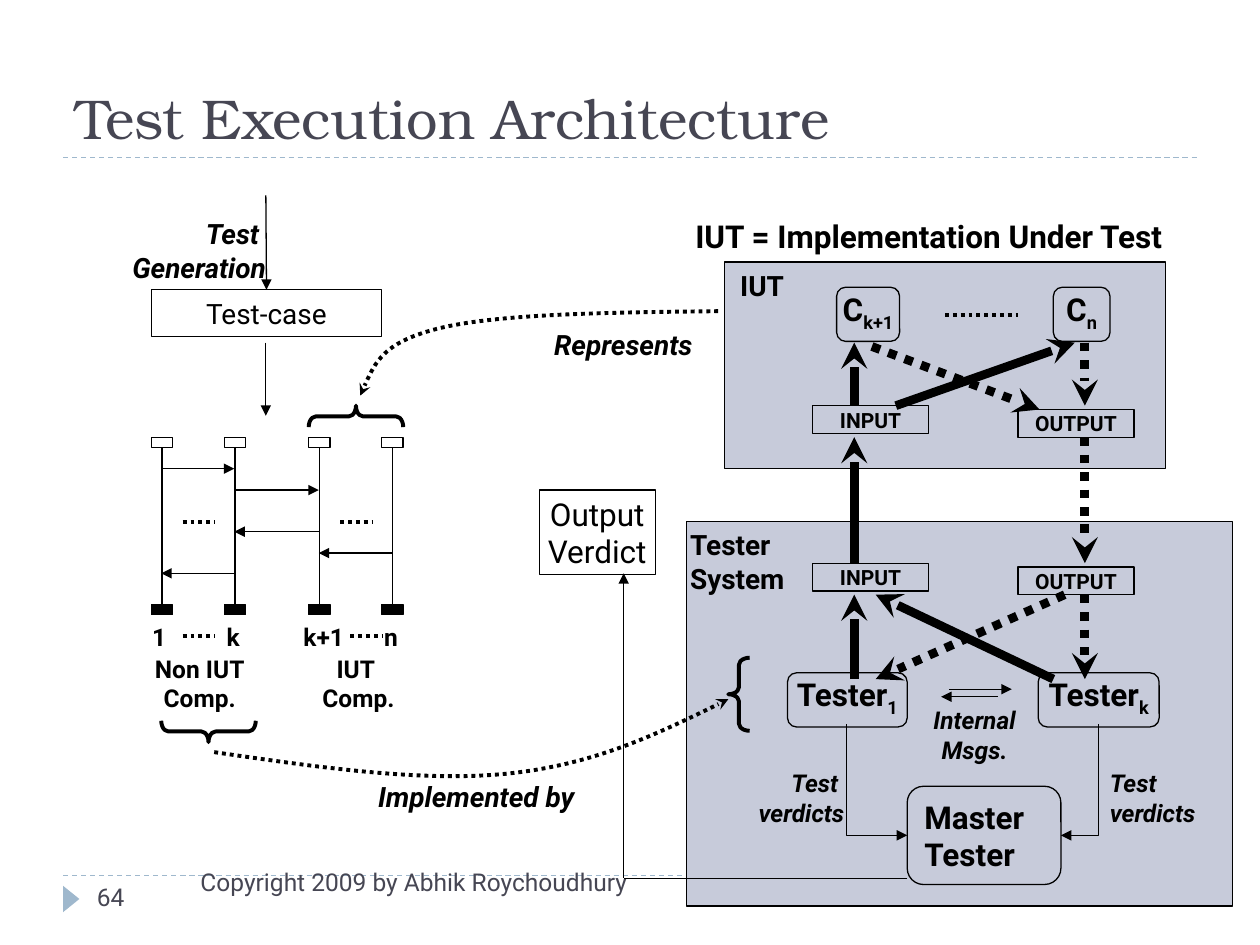
from copy import deepcopy
from dataclasses import dataclass

from pptx import Presentation
from pptx.dml.color import RGBColor
from pptx.enum.dml import MSO_LINE as Dash
from pptx.enum.shapes import MSO_CONNECTOR as Link, MSO_SHAPE as Shape
from pptx.enum.text import MSO_ANCHOR as Anchor, MSO_AUTO_SIZE as Fit, PP_ALIGN as Align
from pptx.oxml.ns import qn
from pptx.oxml.xmlchemy import OxmlElement
from pptx.util import Pt

PX = 9144


@dataclass(frozen=True)
class Theme:
    ink: str = "000000"
    muted: str = "464653"
    panel: str = "C7CBDA"
    accent: str = "9FB8CD"
    body: str = "Roboto"
    heading: str = "TeX Gyre Bonum"
    title: int = 32
    large: int = 18
    medium: int = 16
    small: int = 14
    tiny: int = 12
    thin: float = 0.75
    medium_line: float = 2.25
    thick: float = 5


class Diagram:
    """Draws styled elements on one slide, with lengths in px."""

    def __init__(self, slide, theme):
        self.slide, self.shapes, self.theme = slide, slide.shapes, theme

    def set_text(self, frame, text, size, sub="", color=None, face=None, bold=False, italic=False,
                 align=Align.LEFT, anchor=Anchor.TOP, wrap=False, fit=Fit.NONE,
                 inset=(10, 5, 10, 5)):
        frame.text = text
        sides = ("margin_left", "margin_top", "margin_right", "margin_bottom")
        layout = dict(zip(sides, (n * PX for n in inset)),
                      word_wrap=wrap, auto_size=fit, vertical_anchor=anchor)
        for name, value in layout.items():
            setattr(frame, name, value)
        if sub:
            frame.paragraphs[0].add_run().text = sub
        style = dict(name=face or self.theme.body, size=Pt(size), bold=bold, italic=italic)
        for paragraph in frame.paragraphs:
            paragraph.alignment = align
            for run in paragraph.runs:
                for name, value in style.items():
                    setattr(run.font, name, value)
                run.font.color.rgb = RGBColor.from_string(color or self.theme.ink)
            for gap in paragraph._p.findall(qn("a:br")):
                gap.append(deepcopy(paragraph.runs[0]._r.rPr))
        if sub:
            frame.paragraphs[0].runs[-1].font._element.set("baseline", "-25000")

    def title(self, text, x, y, w, h):
        heading = self.slide.shapes.title
        for name, value in dict(left=x, top=y, width=w, height=h).items():
            setattr(heading, name, value * PX)
        self.set_text(heading.text_frame, text, self.theme.title, color=self.theme.muted,
                      face=self.theme.heading, anchor=Anchor.BOTTOM, wrap=True)

    def label(self, text, x, y, w, h, size, **style):
        box = self.shapes.add_textbox(*(n * PX for n in (x, y, w, h)))
        self.set_text(box.text_frame, text, size, **{"fit": Fit.SHAPE_TO_FIT_TEXT, **style})

    def stroke(self, item, weight, color=None, dash=None, head=None, tail=None):
        item.line.color.rgb = RGBColor.from_string(color or self.theme.ink)
        item.line.width = Pt(weight)
        if dash:
            item.line.dash_style = dash
        for end, kind in (("a:headEnd", head), ("a:tailEnd", tail)):
            if kind:
                arrow = OxmlElement(end)
                arrow.set("type", kind)
                item.line._get_or_add_ln().append(arrow)

    def box(self, x, y, w, h, kind=Shape.RECTANGLE, fill=None, weight=None, outlined=True,
            rotation=0, text="", size=None, **style):
        box = self.shapes.add_shape(kind, *(n * PX for n in (x, y, w, h)))
        box.shadow.inherit = False
        box.rotation = rotation
        if fill:
            box.fill.solid()
            box.fill.fore_color.rgb = RGBColor.from_string(fill)
        else:
            box.fill.background()
        if outlined:
            self.stroke(box, weight or self.theme.thin)
        else:
            box.line.fill.background()
        if text:
            self.set_text(box.text_frame, text, size,
                          **{"align": Align.CENTER, "anchor": Anchor.MIDDLE, **style})
        return box

    def brace(self, x, y, w, h, rotation=0):
        brace = self.box(x, y, w, h, Shape.LEFT_BRACE, weight=self.theme.medium_line,
                         rotation=rotation)
        brace.adjustments[0] = 0.33

    def line(self, x1, y1, x2, y2, weight=None, start=None, end=None, bent=False, **style):
        line = self.shapes.add_connector(Link.ELBOW if bent else Link.STRAIGHT,
                                         *(n * PX for n in (x1, y1, x2, y2)))
        if bent:
            line._element.spPr.find(qn("a:prstGeom")).set("prst", "bentConnector2")
        if start:
            line.begin_connect(*start)
        if end:
            line.end_connect(*end)
        self.stroke(line, weight or self.theme.thin, **style)
        line._element.spPr.append(OxmlElement("a:effectLst"))

    def curve(self, start, *points):
        builder = self.shapes.build_freeform(*start, scale=PX)
        builder.add_line_segments(points, close=False)
        curve = builder.convert_to_shape()
        segments = list(curve._element.iter(qn("a:lnTo")))
        for first in range(0, len(segments), 3):
            bezier = OxmlElement("a:cubicBezTo")
            segments[first].addprevious(bezier)
            for segment in segments[first:first + 3]:
                bezier.append(segment[0])
                segment.getparent().remove(segment)
        curve.fill.background()
        curve.shadow.inherit = False
        self.stroke(curve, self.theme.medium_line, dash=Dash.ROUND_DOT, tail="stealth")


def draw_frame(d, t):
    for y in (695, 125):
        d.line(50, y, 950, y, color=t.accent, dash=Dash.DASH)
    d.box(46, 707, 21, 13, Shape.ISOSCELES_TRIANGLE, fill=t.accent, outlined=False, rotation=90)
    for panel in ((545, 414, 433, 305), (575, 208, 350, 164)):
        d.box(*panel, fill=t.panel)
    d.title("Test Execution Architecture", 50, 17, 900, 108)
    footer = dict(size=t.small, color=t.muted, wrap=True, fit=Fit.NONE)
    d.label("Copyright 2009 by Abhik Roychoudhury", 75, 683, 433, 50, align=Align.RIGHT, **footer)
    d.label("64", 67, 695, 217, 40, **footer)


def draw_test_case(d, t):
    test_case = d.box(120, 230, 183, 37, text="Test-case", size=t.medium)
    d.label("Test \vGeneration", 83, 167, 138, 64, t.medium, bold=True, italic=True,
            align=Align.RIGHT)
    d.line(211, 155, 211, 230, end=(test_case, 0), tail="triangle")
    d.line(211, 272, 211, 330, tail="triangle")
    lifelines = non_iut_1, non_iut_k, iut_first, iut_n = 128, 186, 253, 311
    for x in lifelines:
        top = d.box(x - 8, 347, 17, 8)
        foot = d.box(x - 8, 480, 17, 8, fill=t.ink)
        d.line(x, 355, x, 480, start=(top, 2), end=(foot, 0))
    messages = ((non_iut_1, non_iut_k, 372), (non_iut_k, iut_first, 389),
                (iut_first, non_iut_k, 422), (iut_n, iut_first, 439), (non_iut_k, non_iut_1, 455))
    for sender, receiver, y in messages:
        d.line(sender, y, receiver, y, tail="triangle")
    for x, y in ((145, 414), (270, 414), (145, 505), (278, 505)):
        d.line(x, y, x + 25, y, t.medium_line, dash=Dash.ROUND_DOT)
    centred = dict(size=t.small, bold=True, align=Align.CENTER)
    for name, x, w in (("1", 111, 29), ("k", 170, 29), ("k+1", 228, 58), ("n", 295, 29)):
        d.label(name, x, 489, w, 34, wrap=True, **centred)
    d.label("Non IUT\vComp.", 109, 514, 99, 57, **centred)
    d.label("IUT \vComp.", 244, 514, 81, 57, **centred)
    d.brace(157, 543, 17, 75, rotation=270)
    d.brace(274, 293, 17, 75, rotation=90)


def draw_systems(d, t):
    strong = dict(bold=True)
    d.label("IUT = Implementation Under Test", 542, 167, 458, 40, t.large, wrap=True, **strong)
    d.label("IUT", 574, 208, 58, 37, t.medium, align=Align.RIGHT, **strong)
    d.label("Tester\nSystem", 538, 414, 100, 64, t.medium, **strong)
    for y in (322, 447):
        d.box(645, y, 92, 22, text="INPUT", size=t.tiny, **strong)
        d.box(808, y + 3, 92, 22, text="OUTPUT", size=t.tiny, **strong)
    components = (("C", "k+1", 664, 228, 50), ("C", "n", 836, 228, 45),
                  ("Tester", "1", 625, 534, 95), ("Tester", "k", 824, 534, 96))
    for name, index, x, y, w in components:
        d.box(x, y, w, 43, Shape.ROUNDED_RECTANGLE, text=name, sub=index, size=t.large,
              inset=(2, 0, 2, 5), **strong)
    d.box(720, 624, 122, 78, Shape.ROUNDED_RECTANGLE, text="Master\nTester", size=t.large,
          align=Align.LEFT, **strong)
    d.line(750, 250, 808, 250, t.medium_line, dash=Dash.ROUND_DOT)
    inputs = ((678, 322, 678, 272), (711, 322, 853, 272), (678, 447, 678, 347),
              (678, 539, 678, 472), (836, 539, 695, 472))
    outputs = ((692, 275, 825, 325), (861, 272, 861, 322), (861, 347, 861, 447),
               (861, 472, 861, 539), (845, 472, 695, 539))
    for flows, dash in ((inputs, None), (outputs, Dash.ROUND_DOT)):
        for flow in flows:
            d.line(*flow, t.thick, dash=dash, tail="stealth")
    d.line(792, 553, 747, 553, tail="triangle")
    d.line(753, 547, 803, 547, tail="triangle")
    slanted = dict(size=t.small, bold=True, italic=True)
    d.label("Internal\vMsgs.", 726, 555, 95, 57, align=Align.CENTER, **slanted)
    d.label("Test \nverdicts", 587, 605, 93, 57, align=Align.RIGHT, **slanted)
    d.label("Test\nverdicts", 871, 605, 93, 57, **slanted)
    for master_side, tester in ((720, 672), (842, 872)):
        d.line(master_side, 663, tester, 575, bent=True, head="triangle")


def draw_relations(d, t):
    d.box(428, 389, 92, 67, text="Output\vVerdict", size=t.large)
    d.line(720, 697, 495, 697)
    d.line(495, 697, 495, 455, tail="triangle")
    slanted = dict(size=t.medium, bold=True, italic=True)
    d.curve((570, 247), (484, 248), (399, 249), (351, 260), (304, 271), (295, 293), (286, 314))
    d.label("Represents", 430, 255, 136, 37, **slanted)
    d.brace(578, 522, 17, 58)
    d.curve((170, 597), (252, 609), (335, 621), (403, 614), (471, 607), (525, 581), (578, 555))
    d.label("Implemented by", 278, 614, 200, 37, wrap=True, align=Align.CENTER, **slanted)


def main():
    deck = Presentation()
    deck.slide_width, deck.slide_height = 1000 * PX, 750 * PX
    theme = Theme()
    diagram = Diagram(deck.slides.add_slide(deck.slide_layouts[5]), theme)
    for draw in (draw_frame, draw_test_case, draw_systems, draw_relations):
        draw(diagram, theme)
    deck.save("out.pptx")


if __name__ == "__main__":
    main()
